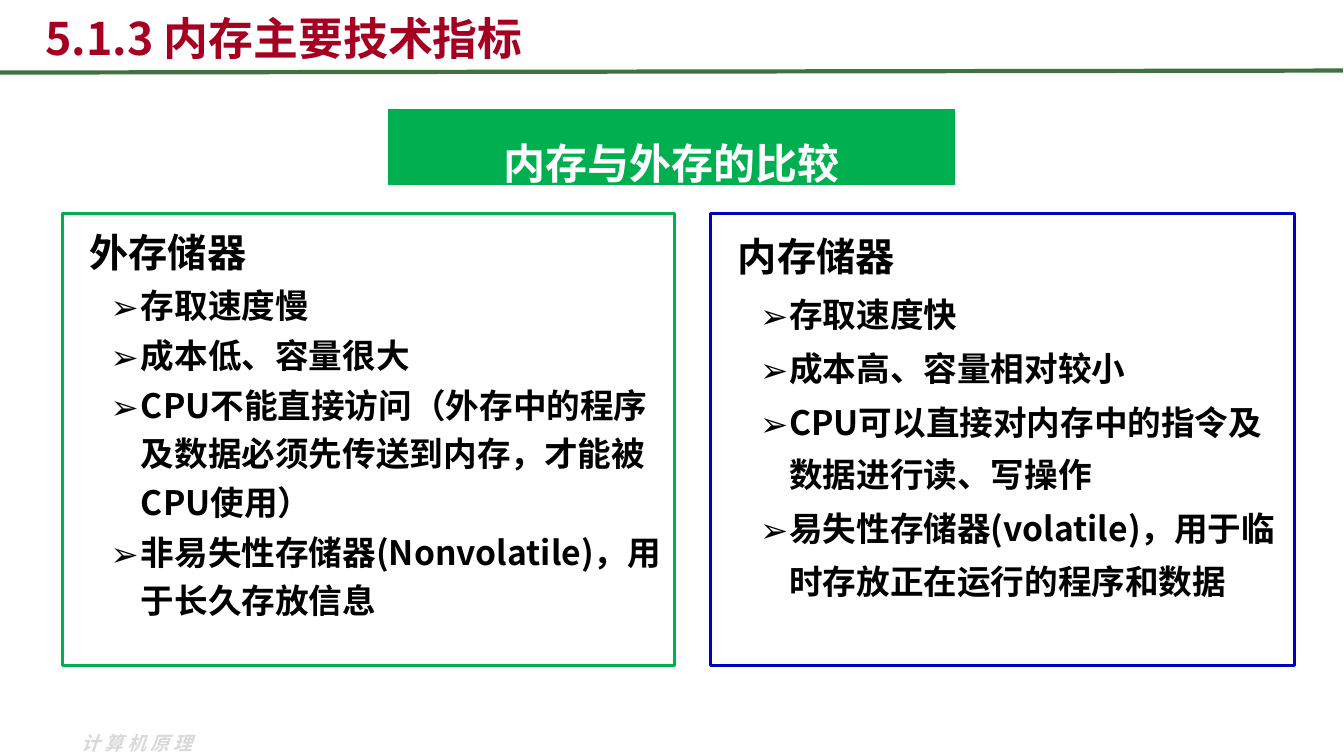
"""Build a slide comparing internal memory with external storage."""
from lxml.etree import SubElement
from pptx import Presentation
from pptx.dml.color import RGBColor
from pptx.enum.shapes import MSO_CONNECTOR, MSO_SHAPE
from pptx.enum.text import MSO_ANCHOR as ANCHOR, PP_ALIGN as ALIGN
from pptx.oxml.ns import qn
from pptx.util import Inches, Pt

FONT = "Noto Sans CJK SC"
COLORS = {
    "title": "A50021", "rule": "3F7141", "green": "00B050", "blue": "0000BF",
    "white": "FFFFFF", "black": "000000", "footer": "D9D9D9",
}
TITLE = "5.1.3 内存主要技术指标"
BANNER = "内存与外存的比较"
FOOTER = "计算机原理"
PANELS = [
    {"left": 7.05, "width": 5.79, "line": "blue", "spacing": 1.3,
     "hang": 0.29, "heading": "内存储器",
     "points": ["存取速度快",
                "成本高、容量相对较小",
                "CPU可以直接对内存中的指令及数据进行读、写操作",
                "易失性存储器(volatile)，用于临时存放正在运行的程序和数据"]},
    {"left": 0.62, "width": 6.07, "line": "green", "spacing": 1.2,
     "hang": 0.3, "heading": "外存储器",
     "points": ["存取速度慢",
                "成本低、容量很大",
                "CPU不能直接访问（外存中的程序及数据必须先传送到内存，才能被CPU使用）",
                "非易失性存储器(Nonvolatile)，用于长久存放信息"]},
]
PANEL_TOP, PANEL_HEIGHT = 2.12, 4.48
HEADING_INDENT, POINT_INDENT = 0.17, 0.68


def rgb(name):
    return RGBColor.from_string(COLORS[name])


def write(p, text, size=24, color="black", italic=False, tracking=0,
          align=ALIGN.LEFT, spacing=1.0, before=0, indent=0, hang=0, bullet=None):
    pPr = p._p.get_or_add_pPr()
    pPr.set("marL", str(Inches(indent)))
    pPr.set("indent", str(-Inches(hang)))
    if bullet:
        SubElement(pPr, qn("a:buFont"), typeface=FONT)
        SubElement(pPr, qn("a:buChar"), char=bullet)
        p.level = 1
    p.alignment, p.line_spacing, p.space_before = align, spacing, Pt(before)
    r = p.add_run()
    r.text = text
    r.font.name, r.font.size = FONT, Pt(size)
    r.font.bold, r.font.italic = True, italic
    r.font.color.rgb = rgb(color)
    rPr = r._r.get_or_add_rPr()
    SubElement(rPr, qn("a:ea"), typeface=FONT)
    if tracking:
        rPr.set("spc", str(tracking * 100))


def add_text(s, box, text, anchor=ANCHOR.TOP, wrap=True, **fmt):
    tf = s.shapes.add_textbox(*map(Inches, box)).text_frame
    tf.word_wrap, tf.vertical_anchor = wrap, anchor
    write(tf.paragraphs[0], text, **fmt)


def add_box(s, box, fill, line, width, anchor):
    sp = s.shapes.add_shape(MSO_SHAPE.RECTANGLE, *map(Inches, box))
    sp.shadow.inherit = False
    sp.fill.solid()
    sp.fill.fore_color.rgb = rgb(fill)
    sp.line.color.rgb = rgb(line)
    sp.line.width = Pt(width)
    tf = sp.text_frame
    tf.word_wrap, tf.vertical_anchor = True, anchor
    return tf


def add_panel(s, panel):
    box = panel["left"], PANEL_TOP, panel["width"], PANEL_HEIGHT
    tf = add_box(s, box, "white", panel["line"], 2, ANCHOR.TOP)
    write(tf.paragraphs[0], panel["heading"], size=28,
          spacing=panel["spacing"], indent=HEADING_INDENT)
    for point in panel["points"]:
        write(tf.add_paragraph(), point, spacing=panel["spacing"], before=1.2,
              indent=POINT_INDENT, hang=panel["hang"], bullet="➢")


def main():
    prs = Presentation()
    prs.slide_width, prs.slide_height = Inches(13.33), Inches(7.5)
    s = prs.slides.add_slide(prs.slide_layouts[6])
    add_text(s, (0.71, 7.21, 1.46, 0.34), FOOTER, wrap=False, size=13.5,
             color="footer", italic=True, tracking=3)
    rule = s.shapes.add_connector(
        MSO_CONNECTOR.STRAIGHT, *map(Inches, (0, 0.72, 13.32, 0.7)))
    rule.line.color.rgb = rgb("rule")
    rule.line.width = Pt(3)
    SubElement(rule._element.spPr, qn("a:effectLst"))
    add_text(s, (0.35, 0, 12, 0.69), TITLE, anchor=ANCHOR.BOTTOM, size=32,
             color="title")
    tf = add_box(s, (3.85, 1.09, 5.62, 0.74), "green", "green", 0.75, ANCHOR.MIDDLE)
    write(tf.paragraphs[0], BANNER, size=30, color="white", align=ALIGN.CENTER,
          spacing=1.6)
    for panel in PANELS:
        add_panel(s, panel)
    prs.save("out.pptx")


if __name__ == "__main__":
    main()
